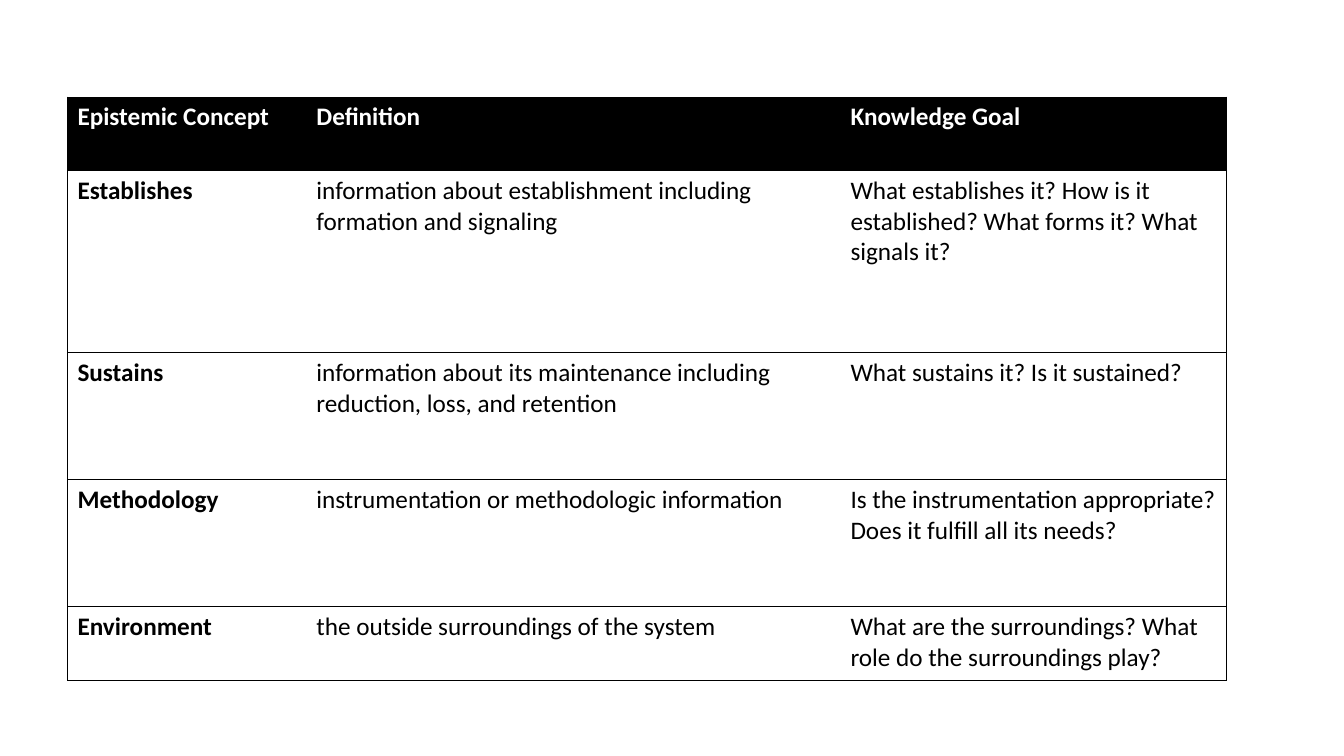
from dataclasses import dataclass

from lxml.etree import SubElement
from pptx import Presentation
from pptx.dml.color import RGBColor
from pptx.oxml.ns import qn
from pptx.slide import Slide
from pptx.table import _Cell as Cell
from pptx.util import Cm, Pt

BLACK = RGBColor(0x00, 0x00, 0x00)
WHITE = RGBColor(0xFF, 0xFF, 0xFF)
RULE_WIDTH = Pt(0.5)
COLUMN_WIDTHS = (6.02, 13.46, 9.73)
TABLE_LEFT, TABLE_TOP = 1.7, 2.44


@dataclass(frozen=True)
class ConceptRow:
    height: float
    concept: str
    definition: str
    goal: str
    is_header: bool = False


CONCEPTS = (
    ConceptRow(1.85, "Epistemic Concept", "Definition", "Knowledge Goal", True),
    ConceptRow(
        4.6,
        "Establishes",
        "information about establishment including formation and signaling",
        "What establishes it? How is it established? What forms it? What signals it?",
    ),
    ConceptRow(
        3.2,
        "Sustains",
        "information about its maintenance including reduction, loss, and retention",
        "What sustains it? Is it sustained?",
    ),
    ConceptRow(
        3.2,
        "Methodology",
        "instrumentation or methodologic information",
        "Is the instrumentation appropriate? Does it fulfill all its needs?",
    ),
    ConceptRow(
        1.85,
        "Environment",
        "the outside surroundings of the system",
        "What are the surroundings? What role do the surroundings play?",
    ),
)


def rule_cell(cell: Cell, visible_sides: str) -> None:
    properties = cell._tc.get_or_add_tcPr()
    for side in "LRTB":
        rule = SubElement(properties, qn(f"a:ln{side}"), w=str(RULE_WIDTH))
        if side in visible_sides:
            ink = SubElement(rule, qn("a:solidFill"))
            SubElement(ink, qn("a:srgbClr"), val=str(BLACK))
        else:
            SubElement(rule, qn("a:noFill"))


def write_cell(cell: Cell, wording: str, bold: bool, ink: RGBColor, ground: RGBColor) -> None:
    cell.fill.solid()
    cell.fill.fore_color.rgb = ground
    phrase = cell.text_frame.paragraphs[0].add_run()
    phrase.text = wording
    for attribute, value in {"name": "Calibri", "size": Pt(18), "bold": bold}.items():
        setattr(phrase.font, attribute, value)
    phrase.font.color.rgb = ink


def draw_concepts(slide: Slide, concepts: tuple[ConceptRow, ...]) -> None:
    concept_table = slide.shapes.add_table(
        len(concepts),
        len(COLUMN_WIDTHS),
        Cm(TABLE_LEFT),
        Cm(TABLE_TOP),
        Cm(sum(COLUMN_WIDTHS)),
        Cm(sum(concept.height for concept in concepts)),
    ).table
    concept_table.horz_banding = False
    for column, width in zip(concept_table.columns, COLUMN_WIDTHS):
        column.width = Cm(width)
    for row, concept in zip(concept_table.rows, concepts):
        row.height = Cm(concept.height)
        ink, ground = (WHITE, BLACK) if concept.is_header else (BLACK, WHITE)
        wordings = (concept.concept, concept.definition, concept.goal)
        for cell, wording, outer_side in zip(row.cells, wordings, ("L", "", "R")):
            rule_cell(cell, "TB" + outer_side)
            bold = concept.is_header or wording == concept.concept
            write_cell(cell, wording, bold, ink, ground)


def main() -> None:
    deck = Presentation()
    deck.slide_width, deck.slide_height = Cm(33.87), Cm(19.05)
    draw_concepts(deck.slides.add_slide(deck.slide_layouts[6]), CONCEPTS)
    deck.save("out.pptx")


if __name__ == "__main__":
    main()
